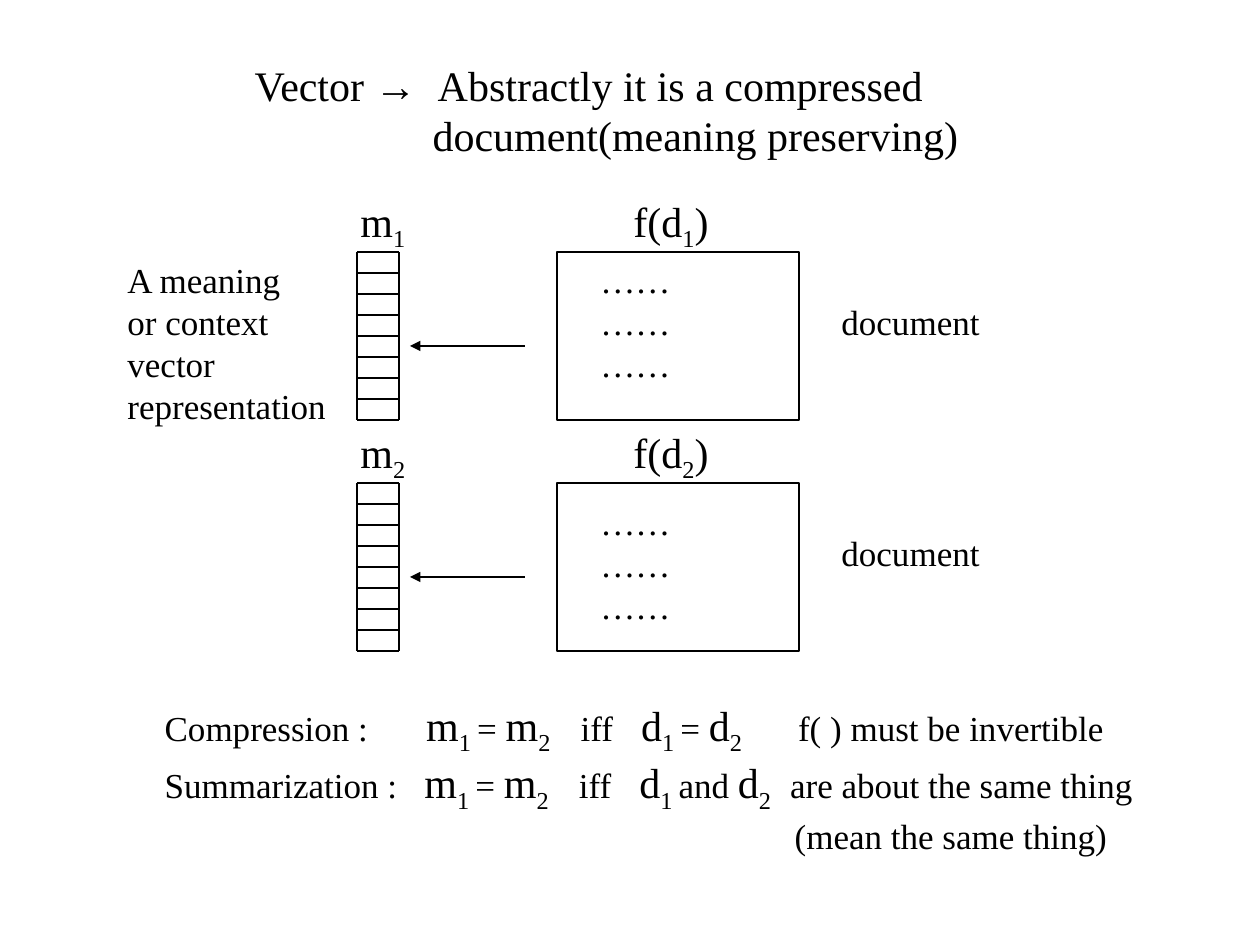
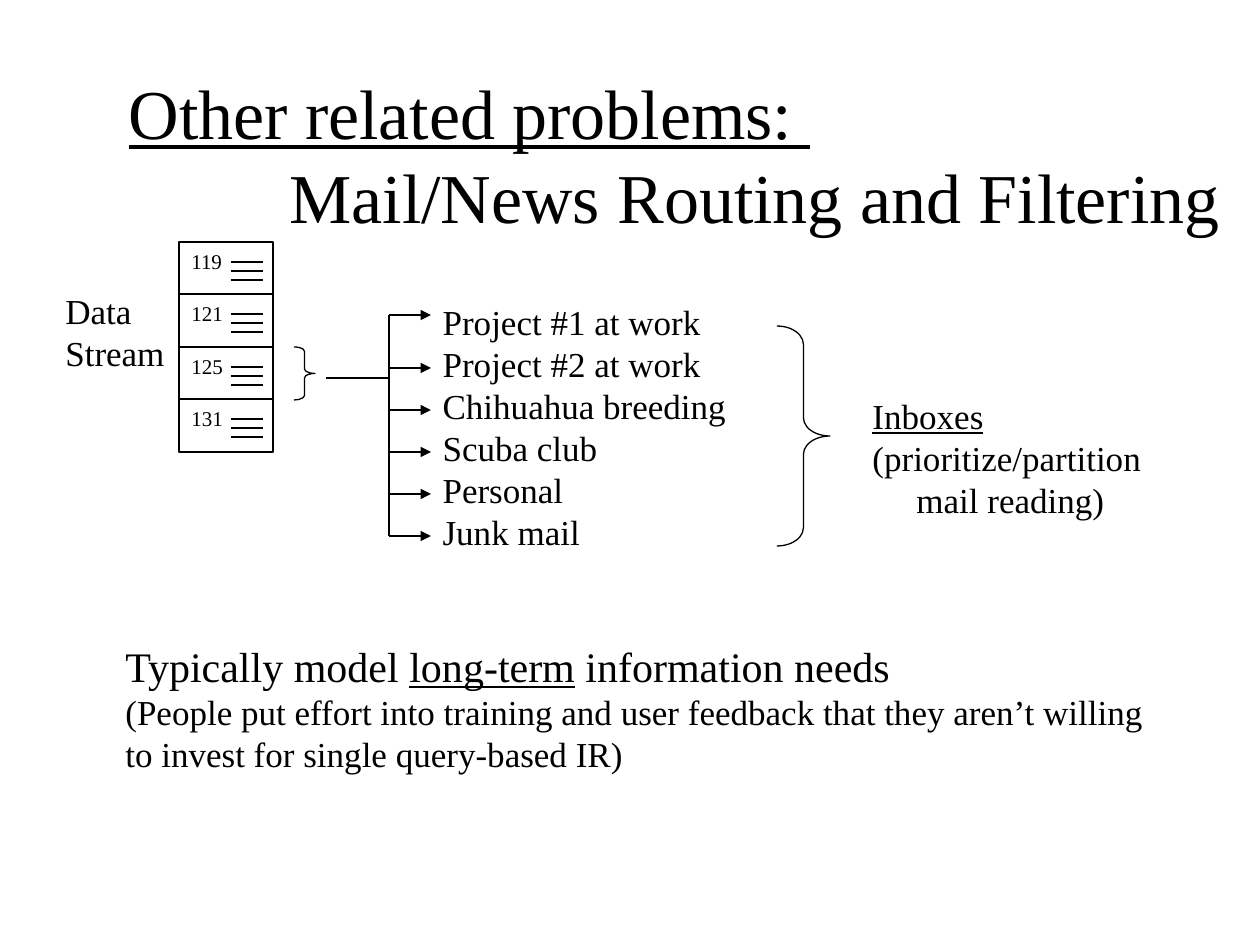
from dataclasses import dataclass

from lxml import etree
from pptx import Presentation
from pptx.dml.color import RGBColor
from pptx.enum.shapes import MSO_CONNECTOR, MSO_SHAPE
from pptx.enum.text import MSO_ANCHOR, MSO_AUTO_SIZE, PP_ALIGN
from pptx.oxml.ns import qn
from pptx.util import Emu, Pt

STRAIGHT = MSO_CONNECTOR.STRAIGHT
RECT, BRACE = MSO_SHAPE.RECTANGLE, MSO_SHAPE.RIGHT_BRACE
TOP, LEFT, FIXED = MSO_ANCHOR.TOP, PP_ALIGN.LEFT, MSO_AUTO_SIZE.NONE
MARKS = "^_*@"  # large, subscript, underline, symbol font


@dataclass(frozen=True)
class Theme:
    ink: RGBColor = RGBColor(0, 0, 0)
    font: str = "Times New Roman"
    sign: str = "Arial"
    head: int = 40
    large: int = 24
    text: int = 20
    small: int = 12
    rule: float = 0.75


theme = Theme()
px = [Emu(round(n * 914400 / 126)) for n in range(1261)]


def write(page, spot, rows, size=theme.text, shape=None, dents={}):
    """Fill a box; '|' parts the runs, marks style them, '#n' is a space n px wide."""
    shape = shape or page.shapes.add_textbox(0, 0, 0, 0)
    shape.left, shape.top, shape.width, shape.height = [px[n] for n in spot]
    frame = shape.text_frame
    frame.word_wrap, frame.auto_size = True, FIXED
    frame.vertical_anchor = TOP
    for i, row in enumerate(rows):
        para = frame.paragraphs[0] if i == 0 else frame.add_paragraph()
        para.alignment, para.space_before = LEFT, Pt(0)
        props = para._p.get_or_add_pPr()
        props.set("marL", str(px[dents.get(i, 0)]))
        props.set("indent", "0")
        etree.SubElement(props, qn("a:buNone"))
        for piece in row.split("|"):
            run = para.add_run()
            look = run._r.get_or_add_rPr()
            gap = piece.startswith("#")
            run.text = " " if gap else piece.lstrip(MARKS)
            marks = "" if gap else piece[:len(piece) - len(run.text)]
            font = run.font
            font.name = theme.sign if "@" in marks else theme.font
            font.size = Pt(theme.large if "^" in marks else size)
            font.color.rgb = theme.ink
            if "*" in marks:
                font.underline = True
            if "_" in marks:
                look.set("baseline", "-25000")
            if gap:
                wide = int(piece[1:]) * 72 / 126
                look.set("spc", str(round((wide - size / 4) * 100)))


def draw(page, kind, a, b, c, d, tip=False):
    """Draw a line from a, b to c, d, or an outline c wide and d high."""
    ends = [px[n] for n in (a, b, c, d)]
    if kind is STRAIGHT:
        item = page.shapes.add_connector(kind, *ends)
    else:
        item = page.shapes.add_shape(kind, *ends)
        item.shadow.inherit = False
        item.fill.background()
    item.line.color.rgb = theme.ink
    item.line.width = Pt(theme.rule)
    if kind is STRAIGHT:
        etree.SubElement(item._element.spPr, qn("a:effectLst"))
    if tip:
        etree.SubElement(item.line._get_or_add_ln(), qn("a:tailEnd"), type="triangle")
    return item


deck = Presentation()
deck.slide_width, deck.slide_height = px[1260], px[945]
layout = deck.slide_layouts[1]

# Slide 1: documents as vectors
page = deck.slides.add_slide(layout)
write(page, (242, 53, 740, 113),
      ["Vector |@→|#21|Abstractly it is a compressed", "document(meaning preserving)"],
      theme.large, page.shapes.title, dents={1: 178})

# Each document box and its vector of eight cells
for num, top, drop in ((1, 252, 0), (2, 483, 11)):
    for x in (357, 399):
        draw(page, STRAIGHT, x, top, x, top + 168)
    for y in range(top, top + 169, 21):
        draw(page, STRAIGHT, 357, y, 399, y)
    draw(page, RECT, 557, top, 242, 168)
    draw(page, STRAIGHT, 525, top + 94, 410, top + 94, tip=True)
    write(page, (348, top - 63, 80, 70), [f"m|_{num}"], theme.large)
    write(page, (621, top - 63, 110, 70), [f"f(d|_{num}|)"], theme.large)
    write(page, (588, top + drop, 100, 139), ["……"] * 3)
    write(page, (829, top + 42, 170, 55), ["document"])
write(page, (115, 252, 236, 181),
      ["A meaning", "or context", "vector", "representation"])

# Two readings of equal vectors
same = "|^m|^_1 |= |^m|^_2|#30|iff|#28|^d|^_1 |"
write(page, (152, 693, 1010, 212),
      ["Compression :|#58" + same + "= |^d|^_2|#56|f( ) must be invertible",
       "Summarization :|#27" + same + "and |^d|^_2|#19|are about the same thing",
       "(mean the same thing)"],
      shape=page.placeholders[1], dents={2: 630})

# Slide 2: routing and filtering
page = deck.slides.add_slide(layout)
write(page, (116, 63, 1140, 181),
      ["*Other related problems: ", "Mail/News Routing and Filtering"],
      theme.head, page.shapes.title, dents={1: 161})

# Data stream of numbered messages
draw(page, RECT, 179, 242, 94, 210)
for i, num in enumerate(("119", "121", "125", "131")):
    top = 242 + 105 * i // 2
    if i:
        draw(page, STRAIGHT, 179, top, 273, top)
    for y in range(top + 20, top + 39, 9):
        draw(page, STRAIGHT, 231, y, 263, y)
    write(page, (179, top, 62, 38), [num], theme.small)
write(page, (53, 283, 128, 97), ["Data", "Stream"])

# Braces around one message and around the inboxes
for x, y, wide, high in ((294, 347, 21, 53), (777, 326, 53, 220)):
    brace = draw(page, BRACE, x, y, wide, high)
    brace.adjustments[0] = high / wide / 12

# Branches to each inbox
draw(page, STRAIGHT, 326, 378, 389, 378)
draw(page, STRAIGHT, 389, 315, 389, 536)
for y in (315, *range(368, 537, 42)):
    draw(page, STRAIGHT, 389, y, 431, y, tip=True)
write(page, (430, 294, 330, 265),
      ["Project #1 at work", "Project #2 at work", "Chihuahua breeding",
       "Scuba club", "Personal", "Junk mail"], shape=page.placeholders[1])
write(page, (860, 388, 310, 139),
      ["*Inboxes", "(prioritize/partition", "mail reading)"], dents={2: 44})

# Closing remark
write(page, (113, 634, 1070, 147),
      ["^Typically model |^*long-term|^ information needs",
       "(People put effort into training and user feedback that they aren’t willing",
       "to invest for single query-based IR)"])

deck.save("out.pptx")
